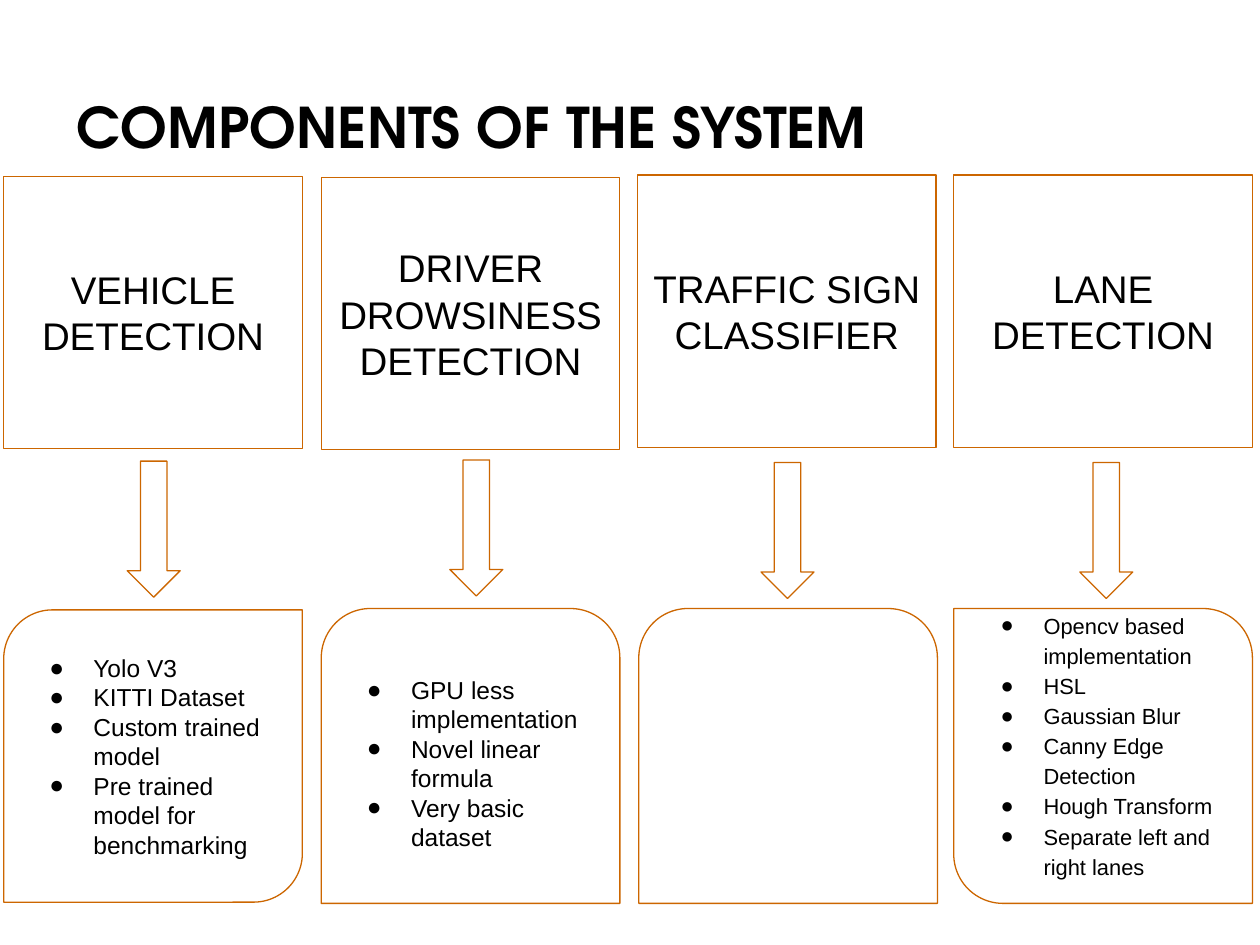
from dataclasses import dataclass
from lxml import etree
from pptx import Presentation
from pptx.dml.color import RGBColor
from pptx.enum.shapes import MSO_SHAPE
from pptx.enum.text import MSO_ANCHOR, MSO_AUTO_SIZE, PP_ALIGN
from pptx.oxml.ns import qn
from pptx.shapes.autoshape import Shape
from pptx.slide import Slide
from pptx.util import Inches, Pt

RECT = MSO_SHAPE.RECTANGLE
ARROW = MSO_SHAPE.DOWN_ARROW
SAME = MSO_SHAPE.ROUND_2_SAME_RECTANGLE
DIAG = MSO_SHAPE.ROUND_2_DIAG_RECTANGLE
MIDDLE, BOTTOM = MSO_ANCHOR.MIDDLE, MSO_ANCHOR.BOTTOM
LEFT, CENTER = PP_ALIGN.LEFT, PP_ALIGN.CENTER
BLACK = RGBColor(0, 0, 0)
WHITE = RGBColor(255, 255, 255)
ORANGE = RGBColor(0xCC, 0x66, 0x00)
WIDTH = 2.37
ROUND = 0.167


@dataclass
class Part:
    """One component: its heading box, arrow and detail card."""
    name: str
    left: float
    top: float
    arrow: tuple[float, float]
    card: tuple[float, float, float]  # left, top, height
    kind: MSO_SHAPE
    curves: tuple[float, float]
    notes: tuple[str, ...] = ()
    size: float = 14
    lines: float = 1.0
    hang: float = 0.35
    pads: tuple[float, float] = (0.1, 0.1)  # top, bottom


PARTS = [
    Part("VEHICLE DETECTION", 0.03, 1.4, (1.01, 3.66), (0.03, 4.84, 2.32),
         DIAG, (ROUND, 0),
         ("Yolo V3", "KITTI Dataset", "Custom trained model",
          "Pre trained model for benchmarking")),
    Part("DRIVER DROWSINESS DETECTION", 2.55, 1.41, (3.57, 3.65),
         (2.55, 4.83, 2.34), SAME, (ROUND, 0),
         ("GPU less implementation", "Novel linear formula",
          "Very basic dataset")),
    Part("TRAFFIC SIGN CLASSIFIER", 5.06, 1.39, (6.04, 3.67),
         (5.07, 4.83, 2.34), SAME, (ROUND, 0)),
    Part("LANE DETECTION", 7.57, 1.39, (8.57, 3.67), (7.57, 4.83, 2.34),
         DIAG, (0, ROUND),
         ("Opencv based implementation", "HSL", "Gaussian Blur",
          "Canny Edge Detection", "Hough Transform",
          "Separate left and right lanes"),
         12.5, 1.15, 0.34, (0, 0.19)),
]


def add_box(slide: Slide, kind: MSO_SHAPE, left: float, top: float,
            width: float, height: float) -> Shape:
    box = slide.shapes.add_shape(kind, Inches(left), Inches(top),
                                 Inches(width), Inches(height))
    box.shadow.inherit = False
    box.fill.solid()
    box.fill.fore_color.rgb = WHITE
    box.line.color.rgb = ORANGE
    box.line.width = Pt(0.75)
    return box


def set_text(box: Shape, text: str, size: float, align: PP_ALIGN,
             pads: tuple[float, float] = (0.1, 0.1), face: str = "Arial",
             bold: bool = False) -> None:
    frame = box.text_frame
    frame.text = text
    frame.word_wrap = True
    frame.vertical_anchor = MIDDLE
    frame.margin_left = frame.margin_right = Inches(0.1)
    frame.margin_top, frame.margin_bottom = map(Inches, pads)
    for para in frame.paragraphs:
        para.alignment = align
        for run in para.runs:
            font = run.font
            font.name, font.size, font.bold = face, Pt(size), bold
            font.color.rgb = BLACK


def add_dots(box: Shape, hang: float, lines: float) -> None:
    """Give every paragraph a round bullet and a hanging indent."""
    for para in box.text_frame.paragraphs:
        para.line_spacing = lines
        props = para._p.get_or_add_pPr()
        props.set("marL", str(Inches(0.5)))
        props.set("indent", str(-Inches(hang)))
        color = etree.SubElement(props, qn("a:buClr"))
        etree.SubElement(color, qn("a:srgbClr"), val=str(BLACK))
        etree.SubElement(props, qn("a:buFont"), typeface="Arial")
        etree.SubElement(props, qn("a:buChar"), char="●")


def add_part(slide: Slide, part: Part) -> None:
    head = add_box(slide, RECT, part.left, part.top, WIDTH, 2.16)
    set_text(head, part.name, 22, CENTER)
    add_box(slide, ARROW, *part.arrow, 0.42, 1.08)
    left, top, height = part.card
    card = add_box(slide, part.kind, left, top, WIDTH, height)
    card.adjustments[0], card.adjustments[1] = part.curves
    if part.notes:
        set_text(card, "\n".join(part.notes), part.size, LEFT, part.pads)
        add_dots(card, part.hang, part.lines)


def main() -> None:
    deck = Presentation()
    deck.slide_width, deck.slide_height = Inches(10), Inches(7.5)
    slide = deck.slides.add_slide(deck.slide_layouts[5])
    title = slide.shapes.title
    title.left, title.top = Inches(0.51), Inches(0.71)
    title.width, title.height = Inches(6.55), Inches(0.61)
    set_text(title, "COMPONENTS OF THE SYSTEM", 32, LEFT, (0.05, 0.05),
             "TeX Gyre Adventor", True)
    title.text_frame.vertical_anchor = BOTTOM
    title.text_frame.auto_size = MSO_AUTO_SIZE.NONE
    for part in PARTS:
        add_part(slide, part)
    deck.save("out.pptx")


if __name__ == "__main__":
    main()
